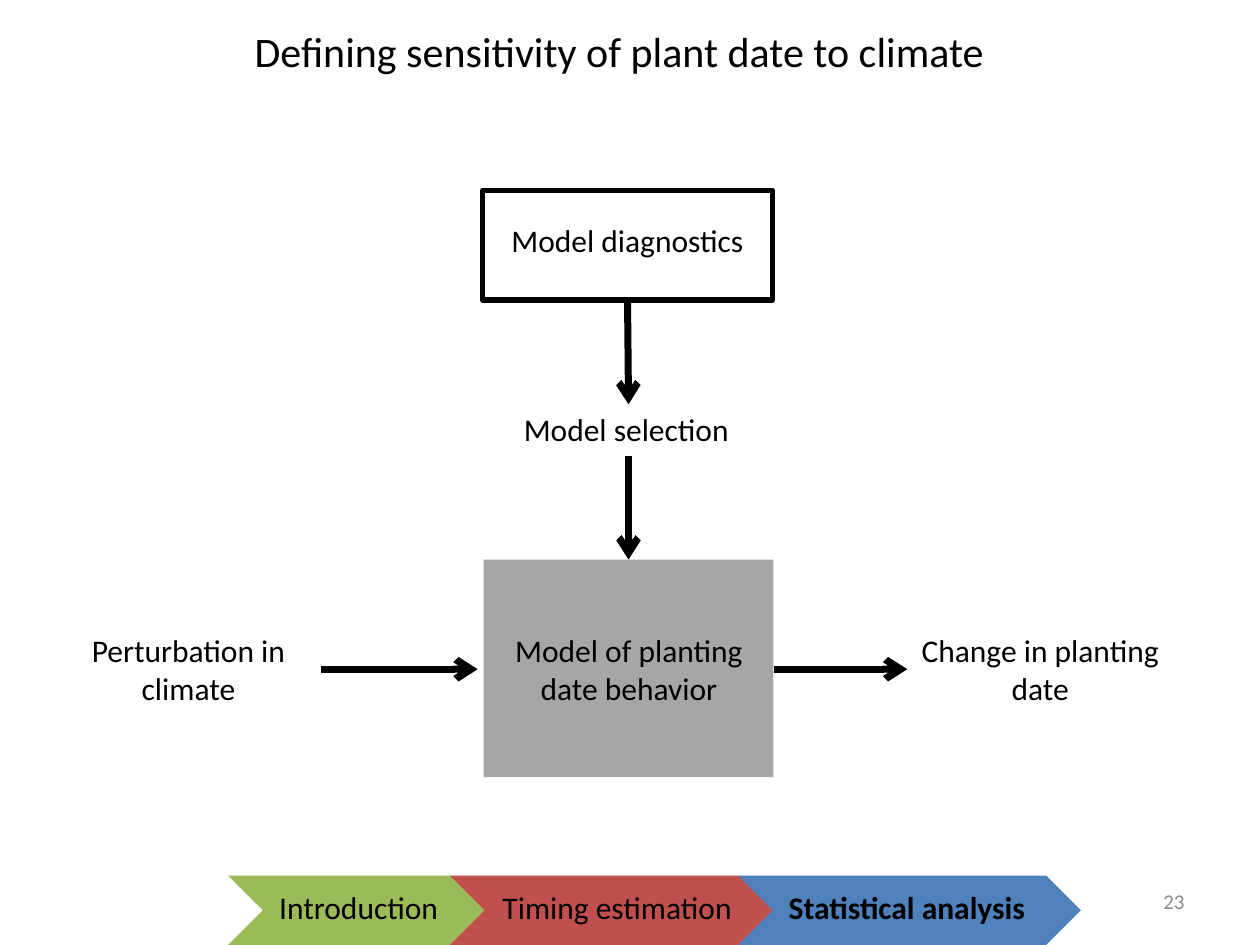
from lxml.etree import SubElement
from pptx import Presentation
from pptx.dml.color import RGBColor
from pptx.enum.shapes import MSO_CONNECTOR, MSO_SHAPE
from pptx.enum.text import MSO_ANCHOR, MSO_AUTO_SIZE, PP_ALIGN
from pptx.oxml.ns import qn
from pptx.util import Cm, Pt

BLACK = RGBColor(0x00, 0x00, 0x00)
GRAY = RGBColor(0xA6, 0xA6, 0xA6)
DIM = RGBColor(0x8C, 0x8C, 0x8C)
GREEN = RGBColor(0x9B, 0xBB, 0x59)
RED = RGBColor(0xC0, 0x50, 0x4D)
BLUE = RGBColor(0x4F, 0x81, 0xBD)


class Deck:
    font = "Calibri"
    size = 18

    def __init__(self, wide, high):
        self.prs = Presentation()
        self.prs.slide_width, self.prs.slide_height = Cm(wide), Cm(high)
        self.slide = self.prs.slides.add_slide(self.prs.slide_layouts[5])

    def set_text(self, shape, text, size=None, color=BLACK, bold=False,
                 align=PP_ALIGN.LEFT, wrap=False, anchor=MSO_ANCHOR.TOP):
        frame = shape.text_frame
        frame.text = text
        frame.word_wrap = wrap
        frame.vertical_anchor = anchor
        frame.auto_size = MSO_AUTO_SIZE.SHAPE_TO_FIT_TEXT
        para = frame.paragraphs[0]
        para.alignment = align
        for run in para.runs:
            run.font.name = self.font
            run.font.size = Pt(size or self.size)
            run.font.bold = bold
            run.font.color.rgb = color

    def title(self, text, x, y, w, h):
        shape = self.slide.shapes.title
        shape.left, shape.top, shape.width, shape.height = map(Cm, (x, y, w, h))
        self.set_text(shape, text, size=24)

    def label(self, text, x, y, w, h=1.02, **style):
        box = self.slide.shapes.add_textbox(Cm(x), Cm(y), Cm(w), Cm(h))
        self.set_text(box, text, **style)
        if style.get("anchor"):
            box.text_frame.auto_size = MSO_AUTO_SIZE.NONE

    def block(self, kind, x, y, w, h, fill=None, line=None):
        shape = self.slide.shapes.add_shape(kind, Cm(x), Cm(y), Cm(w), Cm(h))
        shape.shadow.inherit = False
        if fill is None:
            shape.fill.background()
        else:
            shape.fill.solid()
            shape.fill.fore_color.rgb = fill
        if line is None:
            shape.line.fill.background()
        else:
            shape.line.color.rgb = BLACK
            shape.line.width = Pt(line)

    def arrow(self, x1, y1, x2, y2):
        link = self.slide.shapes.add_connector(
            MSO_CONNECTOR.STRAIGHT, Cm(x1), Cm(y1), Cm(x2), Cm(y2))
        link.line.color.rgb = BLACK
        link.line.width = Pt(4)
        props = link.element.spPr
        SubElement(props.find(qn("a:ln")), qn("a:tailEnd"), type="arrow")
        SubElement(props, qn("a:effectLst"))


def main():
    deck = Deck(25.4, 19.05)
    deck.title("Defining sensitivity of plant date to climate",
               4.88, 0.38, 15.42, 1.27)

    # Progress bar: name, fill, chevron left and width, text left and width
    steps = [
        ("Introduction", GREEN, 4.6, 5.21, 5.38, 3.84),
        ("Timing estimation", RED, 9.07, 6.53, 9.88, 5.31),
        ("Statistical analysis", BLUE, 14.88, 6.91, 15.65, 5.36),
    ]
    for name, fill, x, w, text_x, text_w in steps:
        deck.block(MSO_SHAPE.CHEVRON, x, 17.65, w, 1.4, fill=fill)
        deck.label(name, text_x, 17.78, text_w, bold=fill == BLUE)
    deck.label("23", 18.21, 17.65, 5.92, size=12, color=DIM, wrap=True,
               align=PP_ALIGN.RIGHT, anchor=MSO_ANCHOR.MIDDLE)

    # Column from diagnostics down to the model
    deck.block(MSO_SHAPE.RECTANGLE, 9.73, 3.84, 5.84, 2.21, line=3)
    deck.label("Model diagnostics", 10.06, 4.34, 5.26)
    deck.arrow(12.65, 6.02, 12.67, 8.15)
    deck.label("Model selection", 10.31, 8.15, 4.7)
    deck.arrow(12.67, 9.19, 12.67, 11.28)

    # Row from input through the model to output
    deck.block(MSO_SHAPE.RECTANGLE, 9.75, 11.28, 5.84, 4.39, fill=GRAY)
    for text, x, w in [
        ("Perturbation in climate", 1.12, 5.36),
        ("Model of planting date behavior", 9.63, 6.1),
        ("Change in planting date", 18.29, 5.36),
    ]:
        deck.label(text, x, 12.6, w, 1.8, align=PP_ALIGN.CENTER, wrap=True)
    for start, end in [(6.48, 9.63), (15.6, 18.29)]:
        deck.arrow(start, 13.49, end, 13.49)

    deck.prs.save("out.pptx")


if __name__ == "__main__":
    main()
